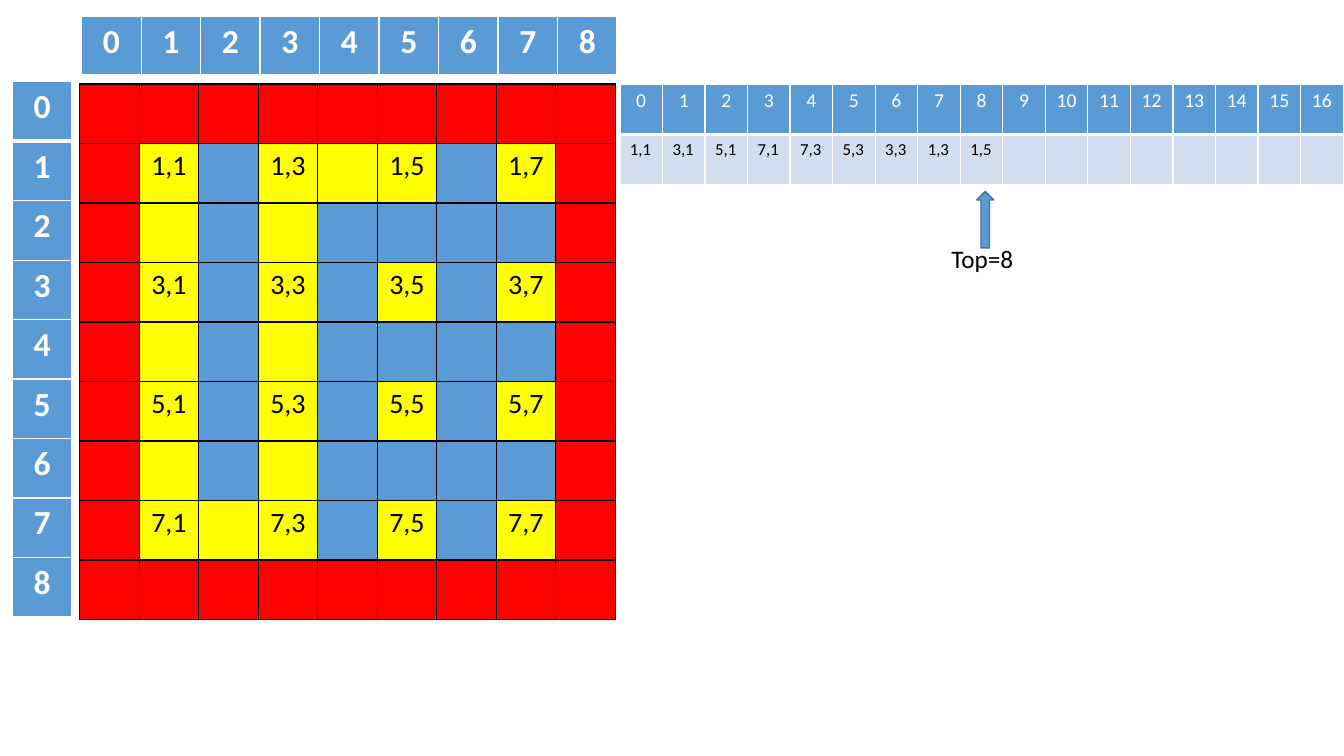
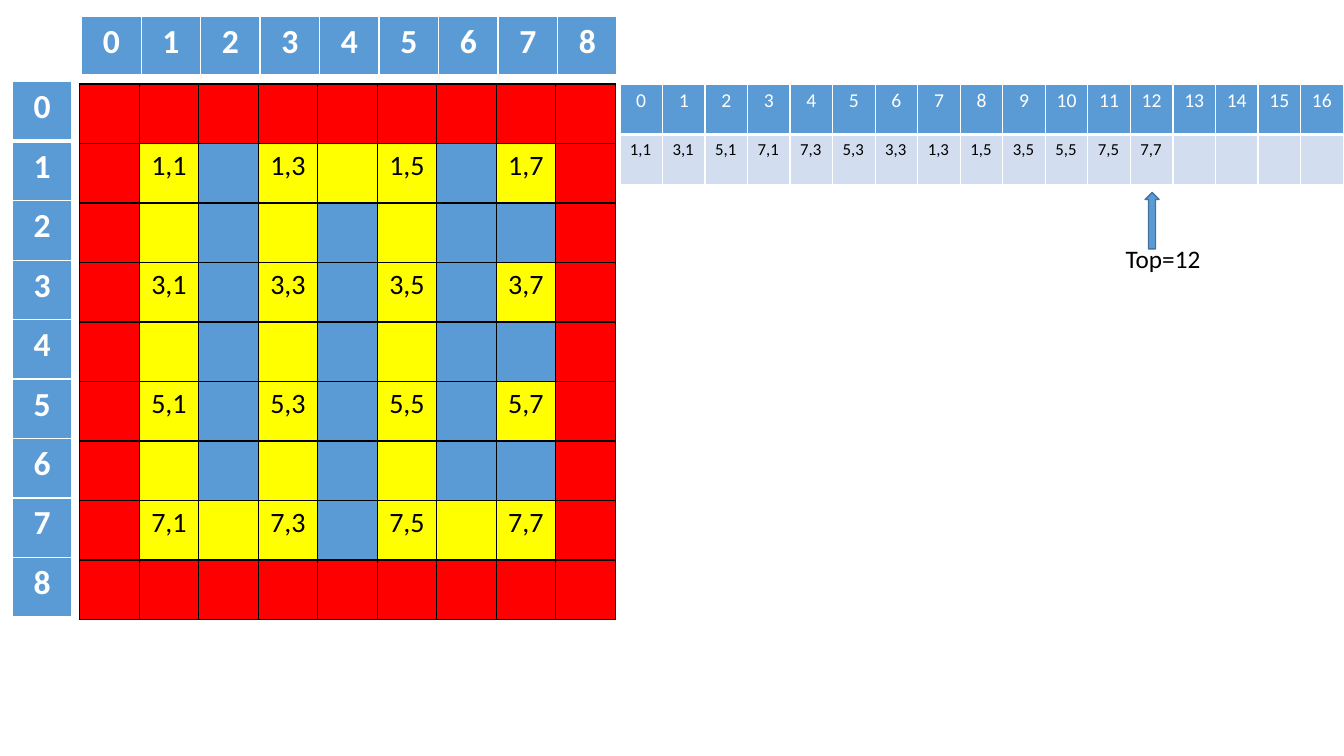
from itertools import pairwise

from lxml.etree import SubElement
from pptx import Presentation
from pptx.dml.color import RGBColor
from pptx.enum.shapes import MSO_SHAPE as Shape
from pptx.enum.text import MSO_AUTO_SIZE as AutoSize, PP_ALIGN as Align
from pptx.oxml.ns import qn
from pptx.util import Pt

# Content: the walk through the maze; each slide shows the stack after some steps
WALK = [(1, 1), (3, 1), (5, 1), (7, 1), (7, 3), (5, 3), (3, 3), (1, 3), (1, 5),
        (3, 5), (5, 5), (7, 5), (7, 7)]
STEPS = [
    {"pushed": 9, "arrow": (697.7, 136.8, 12.2, 40.3), "label": (672.5, 169.9, 59, 29)},
    {"pushed": 13, "arrow": (817.9, 137.5, 10, 40.3), "label": (797, 170.6, 68.4, 29)},
]
MAZE_SIZE, STACK_SIZE = 9, 17

# Look
FONT = "Calibri"
BLUE, PALE, EDGE = "5B9BD5", "D2DEEF", "43739E"
RED, YELLOW, WHITE, BLACK = "FF0000", "FFFF00", "FFFFFF", "000000"
CELL, STACK_COLUMN, STACK_ROW = 42.5, 30.41, 36
MAZE_AT, COLUMN_HEAD_AT, ROW_HEAD_AT, STACK_AT = (57, 60), (58.3, 11.5), (8.8, 58.3), (442.8, 60)

ROOM = {"size": 20, "color": BLACK, "line": BLACK}
HEAD = {"size": 24, "color": WHITE, "line": WHITE, "bold": True, "fill": BLUE}
INDEX = {"size": 14, "color": WHITE, "line": WHITE, "fill": BLUE, "bottom": 3}
ENTRY = {"size": 12, "color": BLACK, "line": WHITE, "fill": PALE, "align": Align.LEFT}


def rgb(value):
    return RGBColor.from_string(value)


def write(frame, text, size, color, bold=False, align=Align.CENTER):
    paragraph = frame.paragraphs[0]
    paragraph.alignment = align
    run = paragraph.add_run()
    run.text = text
    for name, value in {"name": FONT, "size": Pt(size), "bold": bold}.items():
        setattr(run.font, name, value)
    run.font.color.rgb = rgb(color)


def draw_borders(cell, color, bottom):
    """Give all four sides a 1 pt line, the bottom one its own width."""
    properties = cell._tc.get_or_add_tcPr()
    for side, width in {"L": 1, "R": 1, "T": 1, "B": bottom}.items():
        line = SubElement(properties, qn(f"a:ln{side}"), w=str(Pt(width)))
        SubElement(SubElement(line, qn("a:solidFill")), qn("a:srgbClr"), val=color)


def add_grid(slide, at, column_width, row_height, rows):
    """Add a table from rows of (text, format) pairs."""
    count, columns = len(rows), len(rows[0])
    size = columns * column_width, count * row_height
    table = slide.shapes.add_table(count, columns, *map(Pt, at + size)).table
    table.first_row = table.horz_banding = False
    for column in table.columns:
        column.width = Pt(column_width)
    for r, row in enumerate(rows):
        table.rows[r].height = Pt(row_height)
        for c, (text, look) in enumerate(row):
            cell = table.cell(r, c)
            draw_borders(cell, look["line"], look.get("bottom", 1))
            cell.fill.solid()
            cell.fill.fore_color.rgb = rgb(look["fill"])
            if text:
                write(cell.text_frame, text, look["size"], look["color"],
                      look.get("bold", False), look.get("align", Align.CENTER))


def maze_rows(stack):
    """Border red, rooms and the passages walked yellow, walls blue."""
    passages = {((r1 + r2) // 2, (c1 + c2) // 2) for (r1, c1), (r2, c2) in pairwise(stack)}
    border = (0, MAZE_SIZE - 1)

    def square(r, c):
        is_room = r % 2 == 1 and c % 2 == 1
        if r in border or c in border:
            fill = RED
        else:
            fill = YELLOW if is_room or (r, c) in passages else BLUE
        return (f"{r},{c}" if is_room else ""), ROOM | {"fill": fill}

    return [[square(r, c) for c in range(MAZE_SIZE)] for r in range(MAZE_SIZE)]


def add_top_pointer(slide, top, arrow_box, label_box):
    pointer = slide.shapes.add_group_shape().shapes
    arrow = pointer.add_shape(Shape.UP_ARROW, *map(Pt, arrow_box))
    arrow.shadow.inherit = False
    arrow.fill.solid()
    arrow.fill.fore_color.rgb = rgb(BLUE)
    arrow.line.color.rgb = rgb(EDGE)
    arrow.line.width = Pt(1)
    label = pointer.add_textbox(*map(Pt, label_box)).text_frame
    label.word_wrap = False
    label.auto_size = AutoSize.SHAPE_TO_FIT_TEXT
    write(label, f"Top={top}", 18, BLACK, align=Align.LEFT)


def add_step(deck, pushed, arrow, label):
    slide = deck.slides.add_slide(deck.slide_layouts[6])
    stack = WALK[:pushed]
    numbers = [str(n) for n in range(MAZE_SIZE)]
    indexes = [(str(n), INDEX) for n in range(STACK_SIZE)]
    entries = [(f"{r},{c}", ENTRY) for r, c in stack]
    entries += [("", ENTRY)] * (STACK_SIZE - pushed)

    add_grid(slide, MAZE_AT, CELL, CELL, maze_rows(stack))
    add_grid(slide, COLUMN_HEAD_AT, CELL, CELL, [[(n, HEAD | {"bottom": 3}) for n in numbers]])
    add_grid(slide, ROW_HEAD_AT, CELL, CELL,
             [[(n, HEAD | {"bottom": 3 if n == "0" else 1})] for n in numbers])
    add_grid(slide, STACK_AT, STACK_COLUMN, STACK_ROW, [indexes, entries])
    add_top_pointer(slide, pushed - 1, arrow, label)


def main():
    deck = Presentation()
    deck.slide_width, deck.slide_height = Pt(960), Pt(540)
    for step in STEPS:
        add_step(deck, **step)
    deck.save("out.pptx")


if __name__ == "__main__":
    main()
